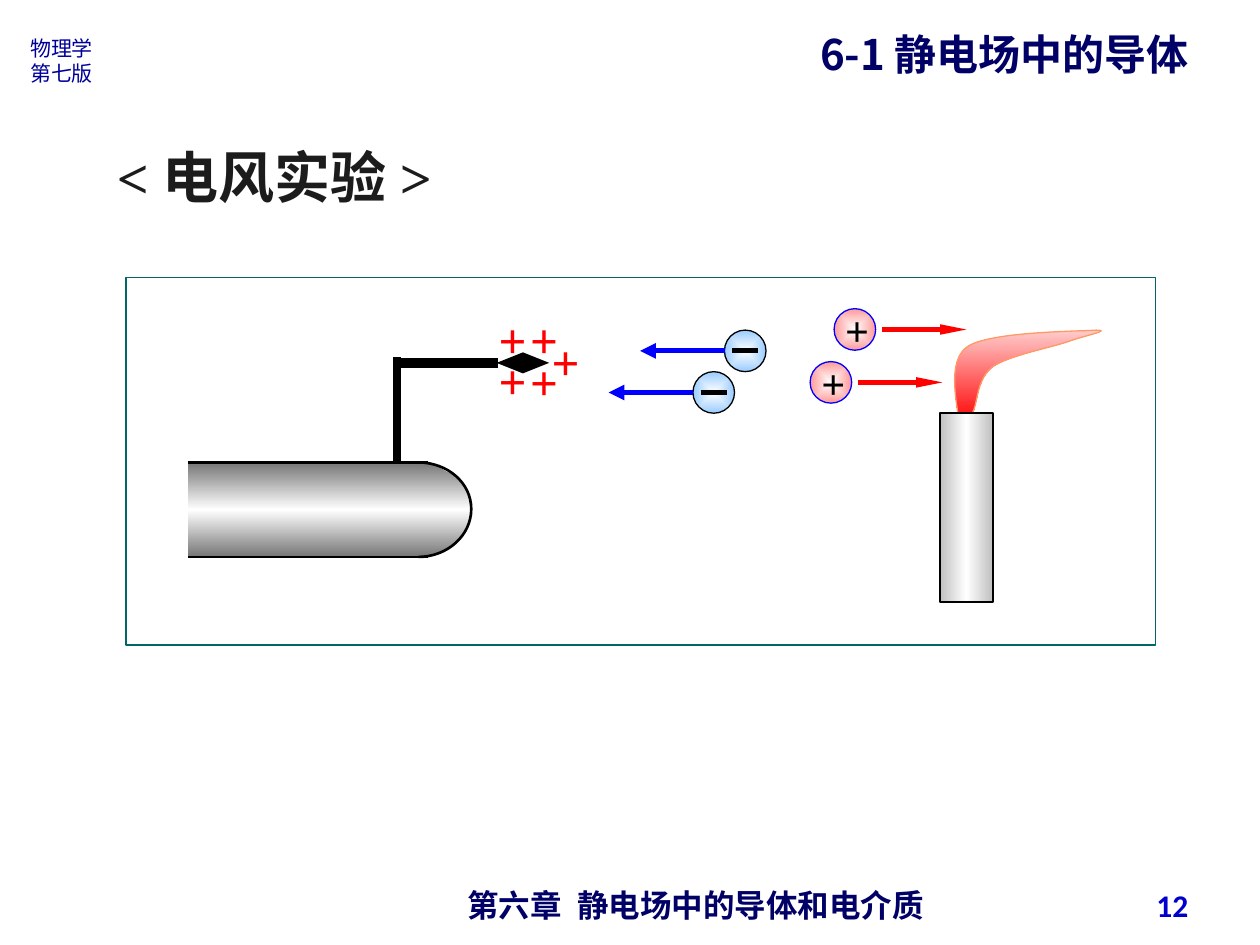
import pptx
import pptx.dml.color
import pptx.enum.shapes
import pptx.enum.text
import pptx.oxml
import pptx.oxml.ns
import pptx.util

Inches = pptx.util.Inches
Pt = pptx.util.Pt
Kind = pptx.enum.shapes.MSO_SHAPE
Align = pptx.enum.text.PP_ALIGN
Anchor = pptx.enum.text.MSO_ANCHOR
qn = pptx.oxml.ns.qn

CJK = "Noto Sans CJK SC"
SERIF = "Times New Roman"
COLORS = {
    "navy": "000066", "ink": "000099", "page": "0000CC", "head": "1C1C1C",
    "frame": "006666", "white": "FFFFFF", "black": "000000", "red": "FF0000",
    "blue": "0000FF", "steel": "767676", "wax": "C0C0C0", "glow": "FFCCCC",
    "edge": "FF9966", "sky": "99CCFF", "rose": "FF9999",
}


def rgb(name):
    return pptx.dml.color.RGBColor.from_string(COLORS[name])


def add_text(slide, box, lines, size, color, font, bold=True, wrap=True,
             anchor=Anchor.TOP, gap=0, **format):
    frame = slide.shapes.add_textbox(*map(Inches, box)).text_frame
    apply(frame, {"word_wrap": wrap, "vertical_anchor": anchor})
    for index, line in enumerate(lines):
        para = frame.add_paragraph() if index else frame.paragraphs[0]
        apply(para, format)
        for piece in line.partition(" ") if gap else [line]:
            run = para.add_run()
            run.text = piece
            apply(run.font, {"size": Pt(size), "bold": bold, "name": font})
            run.font.color.rgb = rgb(color)
            props = run.font._element
            props.append(props.makeelement(qn("a:ea"), {"typeface": CJK}))
            if piece == " ":
                props.set("spc", str(gap * 100))


def apply(item, values):
    for name, value in values.items():
        setattr(item, name, value)


def set_fade(shape, stops, angle=None):
    marks = "".join(
        f'<a:gs pos="{round(100000 * i / (len(stops) - 1))}">'
        f'<a:srgbClr val="{COLORS[stop]}"/></a:gs>'
        for i, stop in enumerate(stops))
    if angle is None:
        way = ('<a:path path="rect"><a:fillToRect l="50000" t="50000" '
               'r="50000" b="50000"/></a:path>')
    else:
        way = f'<a:lin ang="{angle * 60000}" scaled="0"/>'
    fade = pptx.oxml.parse_xml(
        f'<a:gradFill {pptx.oxml.ns.nsdecls("a")} rotWithShape="1">'
        f'<a:gsLst>{marks}</a:gsLst>{way}</a:gradFill>')
    shape.fill.background()
    props = shape._element.spPr
    props.replace(props.find(qn("a:noFill")), fade)


def style(shape, fill, line, width=0.75, angle=None):
    shape.shadow.inherit = False
    if fill is None:
        shape.fill.background()
    elif isinstance(fill, str):
        shape.fill.solid()
        shape.fill.fore_color.rgb = rgb(fill)
    else:
        set_fade(shape, fill, angle)
    if line is None:
        shape.line.fill.background()
    else:
        shape.line.color.rgb = rgb(line)
        shape.line.width = Pt(width)


def add_form(slide, kind, box, *look, **more):
    style(slide.shapes.add_shape(kind, *map(Inches, box)), *look, **more)


def bend(shape):
    legs = list(shape._element.spPr.iter(qn("a:lnTo")))
    for start in range(0, len(legs), 3):
        arc = legs[start].makeelement(qn("a:cubicBezTo"), {})
        legs[start].addprevious(arc)
        for leg in legs[start:start + 3]:
            arc.append(leg[0])
            leg.getparent().remove(leg)


def add_free(slide, points, close, curved, *look, **more):
    spots = [(Inches(x), Inches(y)) for x, y in points]
    maker = slide.shapes.build_freeform(*spots[0], scale=1.0)
    maker.add_line_segments(spots[1:], close=False)
    if close:
        maker.add_line_segments([], close=True)
    shape = maker.convert_to_shape()
    if curved:
        bend(shape)
    style(shape, *look, **more)


def add_line(slide, start, end, color, width, tip=None, wide="med", long="med"):
    line = slide.shapes.add_connector(
        pptx.enum.shapes.MSO_CONNECTOR.STRAIGHT,
        *map(Inches, (*start, *end)))
    line.line.color.rgb = rgb(color)
    line.line.width = Pt(width)
    props = line._element.spPr
    if tip:
        stroke = props.find(qn("a:ln"))
        stroke.append(stroke.makeelement(
            qn("a:tailEnd"), {"type": tip, "w": wide, "len": long}))
    props.append(props.makeelement(qn("a:effectLst"), {}))


def add_rod(slide):
    left, join, top, low = 1.49, 3.4, 3.67, 4.42
    body = [(left, top), (3.42, top), (3.53, 3.74), (3.63, 3.79), (3.7, 3.89),
            (3.74, 4.07), (3.68, 4.22), (3.57, 4.35), (3.5, 4.39),
            (3.39, low), (left, low)]
    cap = [(3.32, top), (3.55, top), (3.74, 3.83), (3.74, 4.04),
           (3.74, 4.25), (3.55, low), (3.32, low)]
    add_free(slide, body, True, False, ("steel", "white", "steel"), None,
             angle=90)
    for y in (top, low):
        add_line(slide, (left, y), (join, y), "black", 1.5)
    add_free(slide, cap, False, True, None, "black", 1.5)
    add_line(slide, (3.15, top), (3.15, 2.83), "black", 4.5)
    add_line(slide, (3.15, 2.88), (4.15, 2.88), "black", 6,
             "diamond", "sm", "lg")
    for x, y in ((3.86, 2.41), (4.11, 2.41), (4.11, 2.74),
                 (3.86, 2.73), (4.28, 2.58)):
        add_text(slide, (x, y, 0.5, 0.57), ["+"], 28, "red", SERIF)


def add_candle(slide):
    flame = [(7.61, 3.35), (7.61, 3.25), (7.5, 2.87), (7.68, 2.75),
             (7.86, 2.63), (8.57, 2.63), (8.7, 2.62),
             (8.83, 2.62), (8.62, 2.66), (8.48, 2.71),
             (8.34, 2.76), (8.01, 2.82), (7.88, 2.91),
             (7.76, 3), (7.76, 3.17), (7.73, 3.25),
             (7.7, 3.32), (7.71, 3.33), (7.69, 3.35),
             (7.67, 3.37), (7.62, 3.35), (7.61, 3.35)]
    add_free(slide, flame, True, True, ("glow", "red"), "edge", angle=90)
    add_form(slide, Kind.RECTANGLE, (7.46, 3.28, 0.42, 1.5),
             ("wax", "white", "wax"), "black", 1, angle=0)


def add_minus(slide, x, y):
    mid = y + 0.165
    add_form(slide, Kind.OVAL, (x, y, 0.33, 0.33), ("white", "sky"), "black")
    add_line(slide, (x + 0.06, mid), (x + 0.27, mid), "black", 3)
    add_line(slide, (x, mid), (x - 0.67, mid), "blue", 3, "triangle")


def add_plus(slide, x, y):
    mid = y + 0.165
    add_form(slide, Kind.OVAL, (x, y, 0.33, 0.33), ("white", "rose"), "blue")
    add_text(slide, (x - 0.01, y - 0.08, 0.39, 0.5), ["+"], 24, "black",
             SERIF, wrap=False)
    add_line(slide, (x + 0.38, mid), (x + 1.05, mid), "red", 3,
             "triangle", "sm", "lg")


def main():
    deck = pptx.Presentation()
    apply(deck, {"slide_width": Inches(10), "slide_height": Inches(7.5)})
    slide = deck.slides.add_slide(deck.slide_layouts[6])
    add_text(slide, (3.43, 6.98, 4.18, 0.29), ["第六章 静电场中的导体和电介质"],
             18, "navy", "Arial", gap=5, alignment=Align.CENTER)
    add_text(slide, (6.41, 0.1, 3.38, 1.06), ["6-1 静电场中的导体"],
             24, "navy", CJK, line_spacing=1.2)
    add_text(slide, (0.14, 0.23, 0.72, 0.5), ["物理学", "第七版"],
             12, "ink", CJK, bold=False)
    add_text(slide, (0.83, 1.08, 3.33, 0.64), ["< 电风实验 >"],
             32, "head", SERIF)
    add_form(slide, Kind.RECTANGLE, (1, 2.2, 8.17, 2.92), "white", "frame")
    add_rod(slide)
    add_candle(slide)
    for x, y in ((5.75, 2.62), (5.5, 2.95)):
        add_minus(slide, x, y)
    for x, y in ((6.62, 2.45), (6.43, 2.87)):
        add_plus(slide, x, y)
    add_text(slide, (7.2, 6.98, 2.33, 0.4), ["12"], 18, "page", "Calibri",
             anchor=Anchor.MIDDLE, alignment=Align.RIGHT)
    deck.save("out.pptx")


if __name__ == "__main__":
    main()
